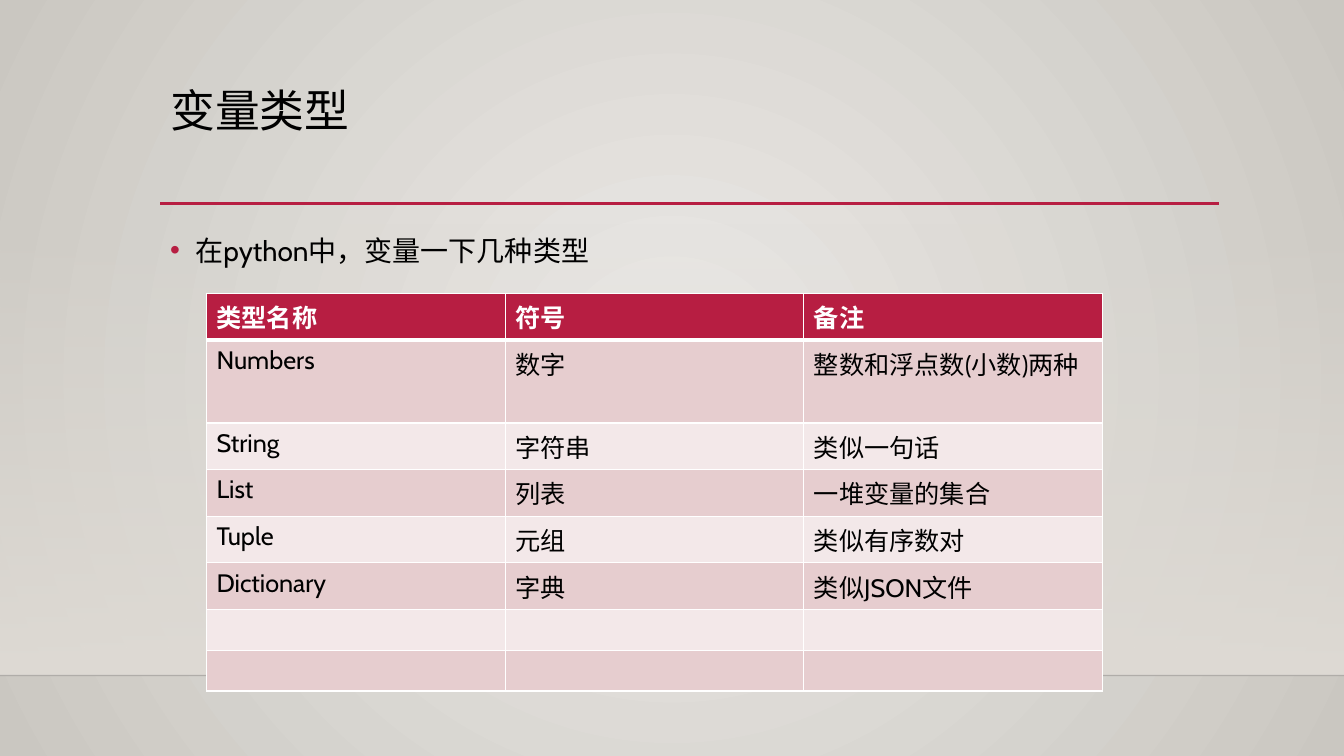
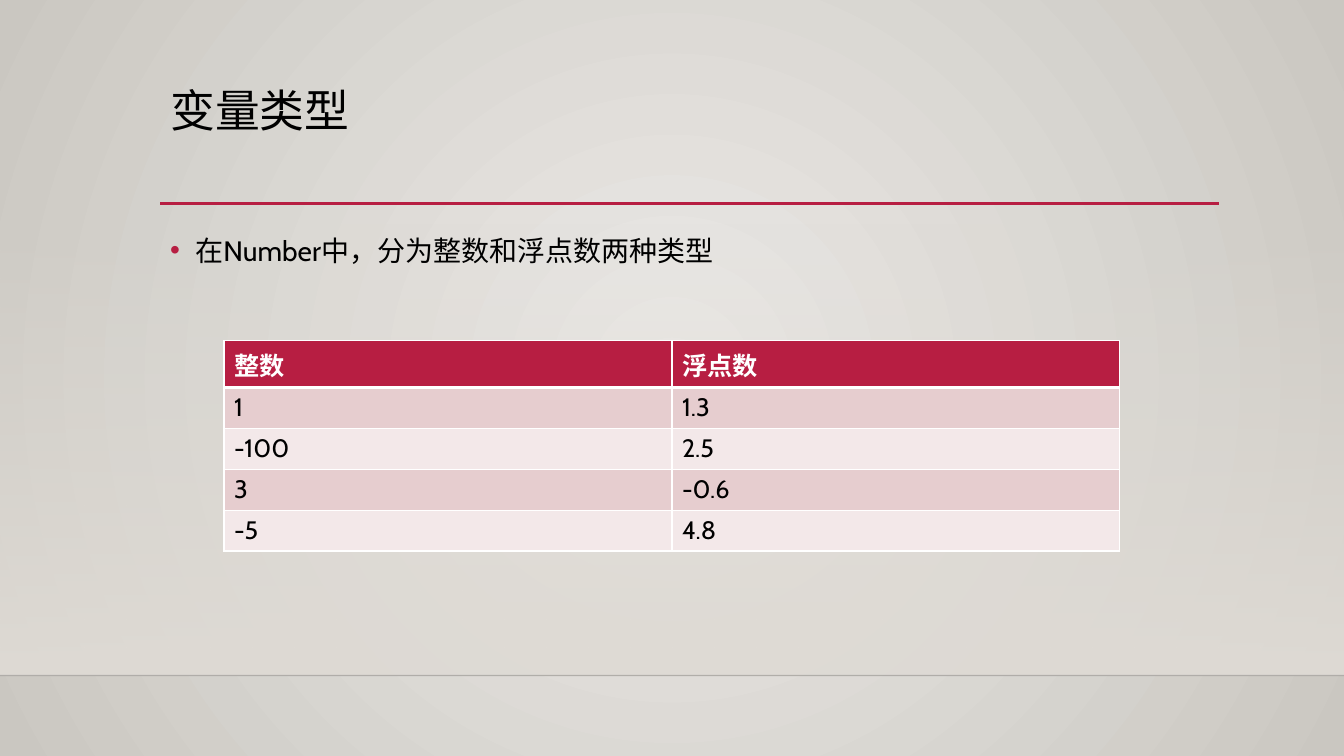
import pptx
import pptx.util
import pptx.dml.color
import pptx.enum.shapes
import pptx.enum.text
import pptx.oxml
import pptx.oxml.ns
from dataclasses import dataclass
from lxml import etree

Pt = pptx.util.Pt
qn = pptx.oxml.ns.qn
Text = pptx.enum.text


def rgb(code):
    return pptx.dml.color.RGBColor.from_string(code)


def add(parent, tag, **attrs):
    return etree.SubElement(parent, qn(tag), attrs)


@dataclass(frozen=True)
class Theme:
    # Colours
    red: str = "B71E42"
    ink: str = "000000"
    white: str = "FFFFFF"
    floor: str = "000001"
    band: str = "DFDBD5"
    glow: tuple = ("ECEAE7", "CAC7C1")
    rows: tuple = ("E6CDCF", "F3E8E9")
    # Type
    face: str = "Cabin"
    head: int = 32
    body: int = 20
    cell: int = 18


class Deck:
    wide, high = 960, 540
    left, span = 114.5, 756

    def __init__(self, theme):
        self.theme = theme
        self.prs = pptx.Presentation()
        self.prs.slide_width, self.prs.slide_height = Pt(self.wide), Pt(self.high)
        self.slide = None
        self.backdrop()

    # Shared style
    def backdrop(self):
        master = self.prs.slide_master
        self.blend(master.background.fill, self.theme.glow)
        grad = next(master.element.iter(qn("a:gradFill")))
        grad.remove(grad.find(qn("a:lin")))
        ring = add(grad, "a:path", path="circle")
        add(ring, "a:fillToRect", l="50000", t="50000", r="50000", b="50000")

    def blend(self, fill, tints):
        fill.gradient()
        for stop, tint, place in zip(fill.gradient_stops, tints, (0, 1)):
            stop.color.rgb = rgb(tint)
            stop.position = place

    def fade(self, color, share):
        add(color, "a:alpha", val=str(share * 1000))

    def label(self, para, text, size, color, bold=False):
        run = para.add_run()
        run.text = text
        look = {"name": self.theme.face, "size": Pt(size), "bold": bold}
        for key, value in look.items():
            setattr(run.font, key, value)
        run.font.color.rgb = rgb(color)

    def frame(self, box, top):
        look = {"word_wrap": True, "auto_size": Text.MSO_AUTO_SIZE.NONE,
                "vertical_anchor": Text.MSO_ANCHOR.TOP,
                "margin_left": Pt(7.2), "margin_right": Pt(7.2),
                "margin_top": Pt(top), "margin_bottom": Pt(3.6)}
        for key, value in look.items():
            setattr(box.text_frame, key, value)
        return box.text_frame.paragraphs[0]

    # Slide with its band, lines and title
    def page(self, title):
        self.slide = self.prs.slides.add_slide(self.prs.slide_layouts[5])
        self.band(159, 323.5)
        self.rule(0, self.wide, 482.5, self.theme.floor, 1, 20)
        self.rule(self.left, self.left + self.span + 0.5, 145.5, self.theme.red, 2.5)
        self.title(title)

    def band(self, top, high):
        kind = pptx.enum.shapes.MSO_SHAPE.RECTANGLE
        band = self.slide.shapes.add_shape(kind, 0, Pt(top), Pt(self.wide), Pt(high))
        band.shadow.inherit = False
        band.line.fill.background()
        self.blend(band.fill, (self.theme.band, self.theme.band))
        band.fill.gradient_angle = 270
        self.fade(next(band.element.iter(qn("a:srgbClr"))), 0)

    def rule(self, start, end, top, color, width, share=100):
        kind = pptx.enum.shapes.MSO_CONNECTOR.STRAIGHT
        rule = self.slide.shapes.add_connector(kind, Pt(start), Pt(top), Pt(end), Pt(top))
        rule.line.color.rgb = rgb(color)
        rule.line.width = Pt(width)
        if share < 100:
            self.fade(next(rule.element.iter(qn("a:srgbClr"))), share)
        add(rule.element.spPr, "a:effectLst")

    def title(self, text):
        box = self.slide.shapes.title
        spot = {"left": self.left, "top": 63.5, "width": self.span, "height": 82.5}
        for key, value in spot.items():
            setattr(box, key, Pt(value))
        para = self.frame(box, 0)
        para.alignment = Text.PP_ALIGN.LEFT
        para.line_spacing = 0.9
        self.label(para, text, self.theme.head, self.theme.ink)

    # Bulleted line
    def point(self, text):
        box = self.slide.shapes.add_textbox(
            Pt(self.left), Pt(158.5), Pt(self.span), Pt(271.5))
        para = self.frame(box, 3.6)
        para.line_spacing = 1.2
        props = para._p.get_or_add_pPr()
        props.set("marL", str(Pt(18)))
        props.set("indent", str(-Pt(18)))
        add(add(props, "a:buClr"), "a:srgbClr", val=self.theme.red)
        add(props, "a:buFont", typeface="Arial")
        add(props, "a:buChar", char="•")
        self.label(para, text, self.theme.body, self.theme.ink)

    # Table with a header row and striped rows
    def table(self, left, top, rows, wide=640, high=29.2):
        count = len(rows[0])
        table = self.slide.shapes.add_table(
            len(rows), count, Pt(left), Pt(top), Pt(wide), Pt(high * len(rows))).table
        table.first_row = table.horz_banding = False
        for col in table.columns:
            col.width = Pt(wide / count)
        for i, row in enumerate(rows):
            table.rows[i].height = Pt(high)
            for j, text in enumerate(row):
                self.cell(table.cell(i, j), text, i)

    def cell(self, cell, text, row):
        theme = self.theme
        head = row == 0
        props = cell._tc.get_or_add_tcPr()
        sides = {"L": 1, "R": 1, "T": 3 if row == 1 else 1, "B": 3 if head else 1}
        for side, width in sides.items():
            edge = add(props, "a:ln" + side, w=str(Pt(width)))
            add(add(edge, "a:solidFill"), "a:srgbClr", val=theme.white)
        cell.fill.solid()
        cell.fill.fore_color.rgb = rgb(theme.red if head else theme.rows[(row - 1) % 2])
        if text:
            color = theme.white if head else theme.ink
            self.label(cell.text_frame.paragraphs[0], text, theme.cell, color, head)


def main():
    deck = Deck(Theme())

    # Kinds of variable
    deck.page("变量类型")
    deck.point("在python中，变量一下几种类型")
    deck.table(147.5, 209.5, [
        ("类型名称", "符号", "备注"),
        ("Numbers", "数字", "整数和浮点数(小数)两种"),
        ("String", "字符串", "类似一句话"),
        ("List", "列表", "一堆变量的集合"),
        ("Tuple", "元组", "类似有序数对"),
        ("Dictionary", "字典", "类似JSON文件"),
        ("", "", ""),
        ("", "", ""),
    ])

    # Kinds of number
    deck.page("变量类型")
    deck.point("在Number中，分为整数和浮点数两种类型")
    deck.table(160, 243.5, [
        ("整数", "浮点数"),
        ("1", "1.3"),
        ("-100", "2.5"),
        ("3", "-0.6"),
        ("-5", "4.8"),
    ])

    deck.prs.save("out.pptx")


if __name__ == "__main__":
    main()
